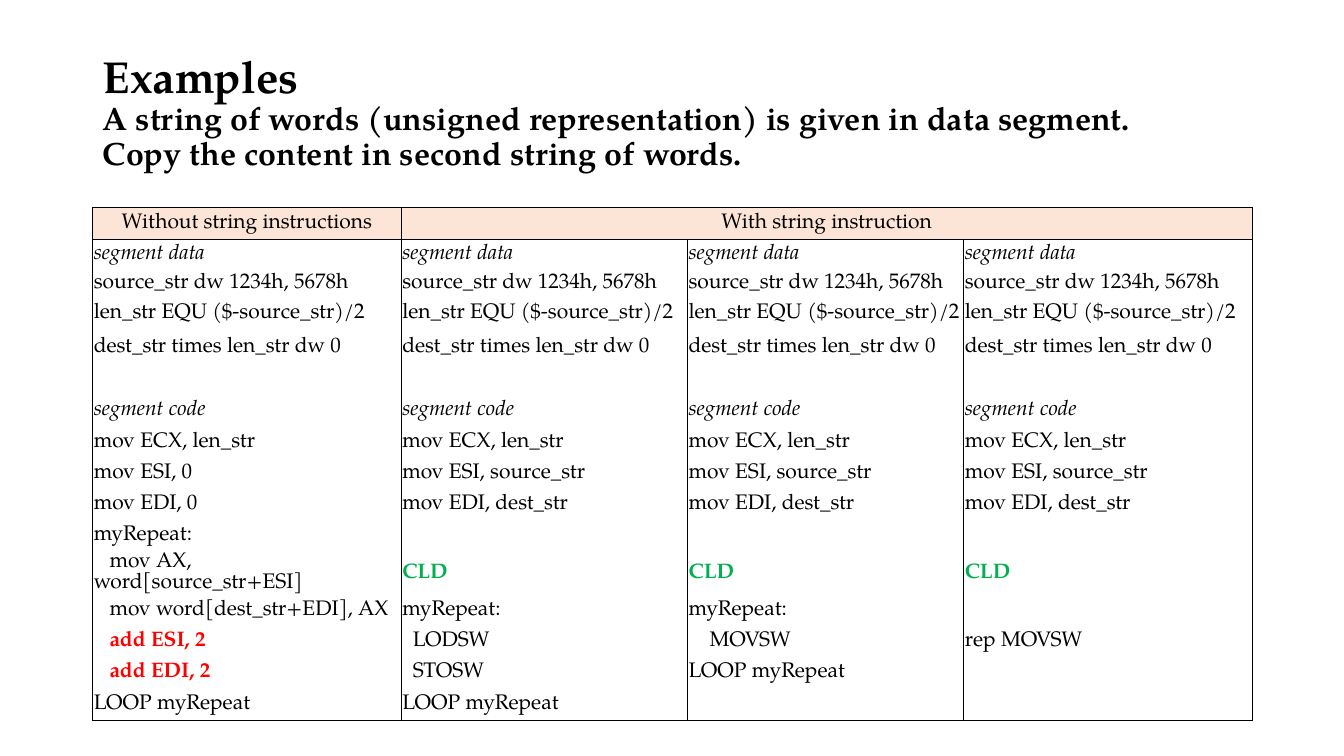
from pptx import Presentation
from pptx.dml.color import RGBColor
from pptx.enum.text import MSO_ANCHOR as ANCHOR, PP_ALIGN as ALIGN
from pptx.util import Inches, Pt
from lxml.etree import SubElement
from pptx.oxml.ns import qn

FONT = "TeX Gyre Pagella"
BLACK, RED, GREEN, PEACH = "000000", "FF0000", "00B050", "FCE4D6"
SPACE = 3.75

TITLE = "Examples"
TASK = ("A string of words (unsigned representation) is given in data segment. ",
        "Copy the content in second string of words.")
HEADERS = ("Without string instructions", "With string instruction")
DATA = ["segment data", "source_str dw 1234h, 5678h",
        "len_str EQU ($-source_str)/2", "dest_str times len_str dw 0", "",
        "segment code", "mov ECX, len_str"]
POINTERS = ["mov ESI, source_str", "mov EDI, dest_str", "", "CLD"]
PROGRAMS = [
    DATA + ["mov ESI, 0", "mov EDI, 0", "myRepeat:",
            "mov AX, word[source_str+ESI]", "mov word[dest_str+EDI], AX",
            "add ESI, 2", "add EDI, 2", "LOOP myRepeat"],
    DATA + POINTERS + ["myRepeat:", "LODSW", "STOSW", "LOOP myRepeat"],
    DATA + POINTERS + ["myRepeat:", "MOVSW", "LOOP myRepeat", ""],
    DATA + POINTERS + ["", "rep MOVSW", "", ""],
]
INDENTS = {"mov AX, word[source_str+ESI]": 3, "mov word[dest_str+EDI], AX": 3,
           "add ESI, 2": 3, "add EDI, 2": 3, "LODSW": 2, "STOSW": 2, "MOVSW": 4}
ACCENTS = {"CLD": GREEN, "add ESI, 2": RED, "add EDI, 2": RED}
COLS = (3.06, 2.84, 2.74, 2.86)
ROWS = (0.32, *[0.29] * 3, 0.4, 0.27, *[0.31] * 5, 0.4, *[0.31] * 3, 0.32)


def rgb(value):
    """Turn a hex string into a colour."""
    return RGBColor.from_string(value)


def add_text(p, text, size=15, color=BLACK, bold=False, italic=False):
    """Append a formatted run to a paragraph."""
    r = p.add_run()
    r.text = text
    f = r.font
    f.name, f.size, f.bold, f.italic = FONT, Pt(size), bold, italic
    f.color.rgb = rgb(color)


def add_title(s, x, y, w, h):
    """Place the heading and the task below it in the title placeholder."""
    sp = s.shapes.title
    sp.left, sp.top, sp.width, sp.height = map(Inches, (x, y, w, h))
    tf = sp.text_frame
    tf.word_wrap, tf.vertical_anchor = True, ANCHOR.MIDDLE
    p = tf.paragraphs[0]
    p.alignment, p.line_spacing = ALIGN.LEFT, 0.9
    add_text(p, TITLE, size=32, bold=True)
    for line in TASK:
        p.add_line_break()
        add_text(p, line, size=23, bold=True)


def set_borders(cell, edges):
    """Draw the listed edges of a cell and hide the others."""
    tc_pr = cell._tc.get_or_add_tcPr()
    for i, edge in enumerate("LRTB"):
        ln = SubElement(tc_pr, qn(f"a:ln{edge}"), w=str(Pt(1)))
        tc_pr.insert(i, ln)
        if edge in edges:
            fill = SubElement(ln, qn("a:solidFill"))
            SubElement(fill, qn("a:srgbClr"), val=BLACK)
        else:
            SubElement(ln, qn("a:noFill"))


def format_cell(cell, fill=None):
    """Set the margins, anchor and fill of a cell."""
    cell.margin_left = cell.margin_right = cell.margin_top = Inches(0.01)
    cell.margin_bottom = 0
    cell.vertical_anchor = ANCHOR.MIDDLE
    if fill:
        cell.fill.solid()
        cell.fill.fore_color.rgb = rgb(fill)
    else:
        cell.fill.background()


def write_code(cell, line):
    """Write one line of assembly code into a cell."""
    p = cell.text_frame.paragraphs[0]
    if not line:
        SubElement(p._p, qn("a:endParaRPr"), sz="1000")
        return
    if line in INDENTS:
        p._p.get_or_add_pPr().set("indent", str(Pt(INDENTS[line] * SPACE)))
    add_text(p, line, color=ACCENTS.get(line, BLACK), bold=line in ACCENTS,
             italic=line.startswith("segment"))


def add_code_table(s, x, y):
    """Place the table that compares the four programs."""
    frame = s.shapes.add_table(len(ROWS), len(COLS), Inches(x), Inches(y),
                               Inches(sum(COLS)), Inches(sum(ROWS)))
    table = frame.table
    table.first_row = table.horz_banding = False
    for col, width in zip(table.columns, COLS):
        col.width = Inches(width)
    for row, height in zip(table.rows, ROWS):
        row.height = Inches(height)
    table.cell(0, 1).merge(table.cell(0, 3))
    for c, program in enumerate(PROGRAMS):
        head = table.cell(0, c)
        format_cell(head, PEACH)
        set_borders(head, ("LRTB", "LRTB", "TB", "RTB")[c])
        for r, line in enumerate(program, 1):
            cell = table.cell(r, c)
            format_cell(cell)
            write_code(cell, line)
            set_borders(cell, "LR" + "T" * (r == 1) + "B" * (r == len(program)))
    for c, text in enumerate(HEADERS):
        p = table.cell(0, c).text_frame.paragraphs[0]
        p.alignment = ALIGN.CENTER
        add_text(p, text)


def main():
    """Build and save the slide."""
    prs = Presentation()
    prs.slide_width, prs.slide_height = Inches(13.33), Inches(7.5)
    s = prs.slides.add_slide(prs.slide_layouts[5])
    add_title(s, 0.92, 0.4, sum(COLS), 1.45)
    add_code_table(s, 0.92, 2.06)
    prs.save("out.pptx")


if __name__ == "__main__":
    main()
